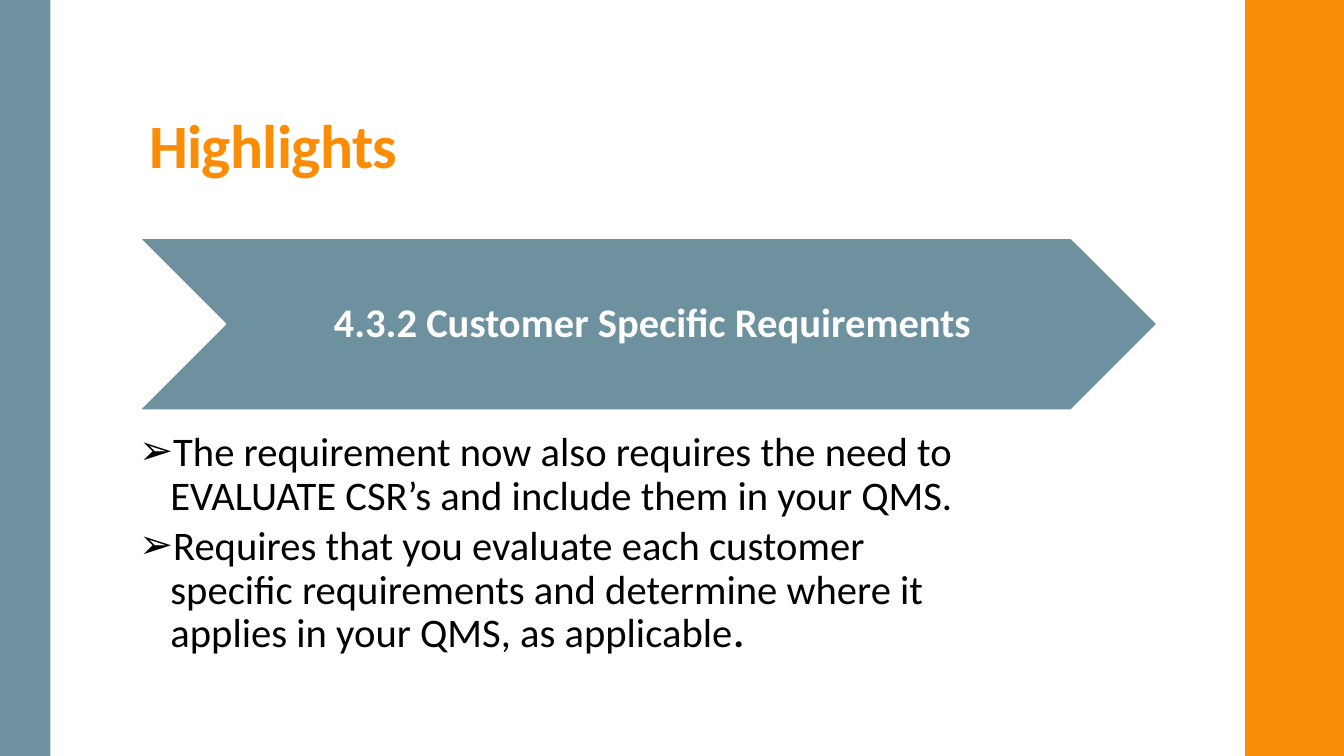
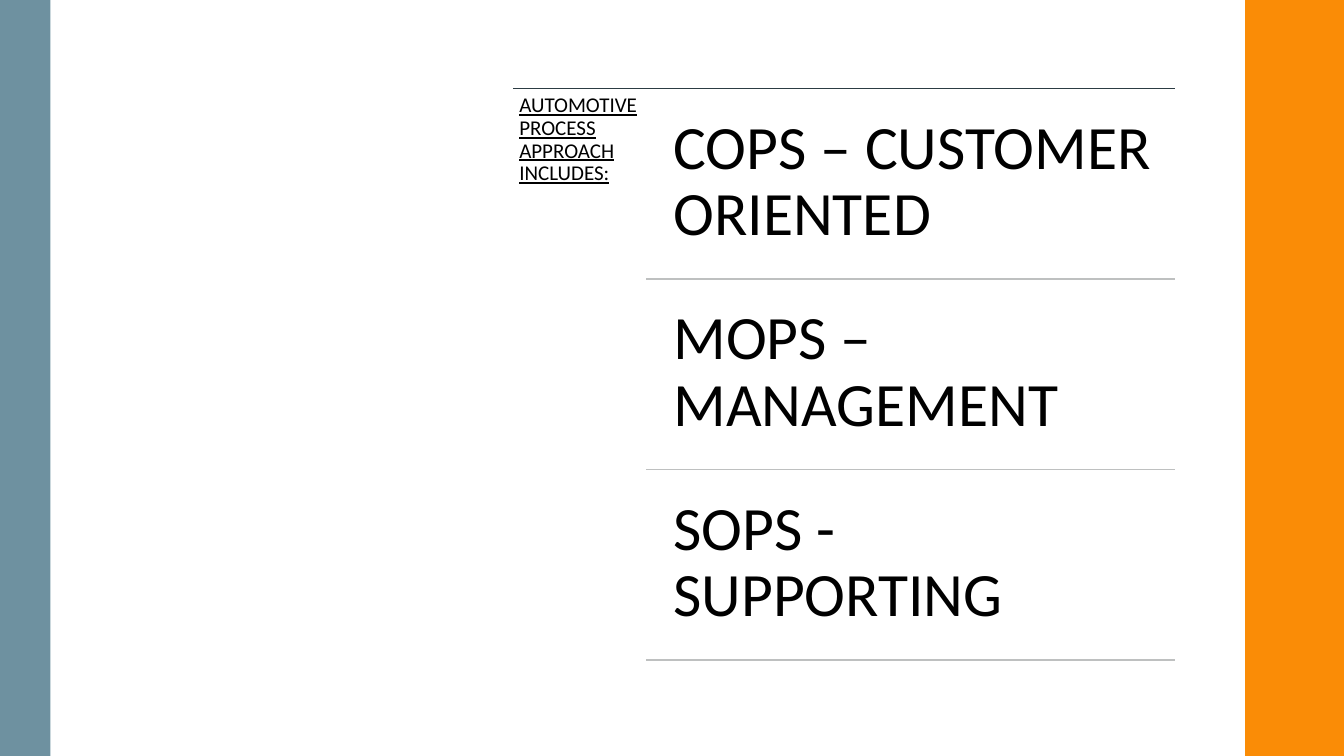
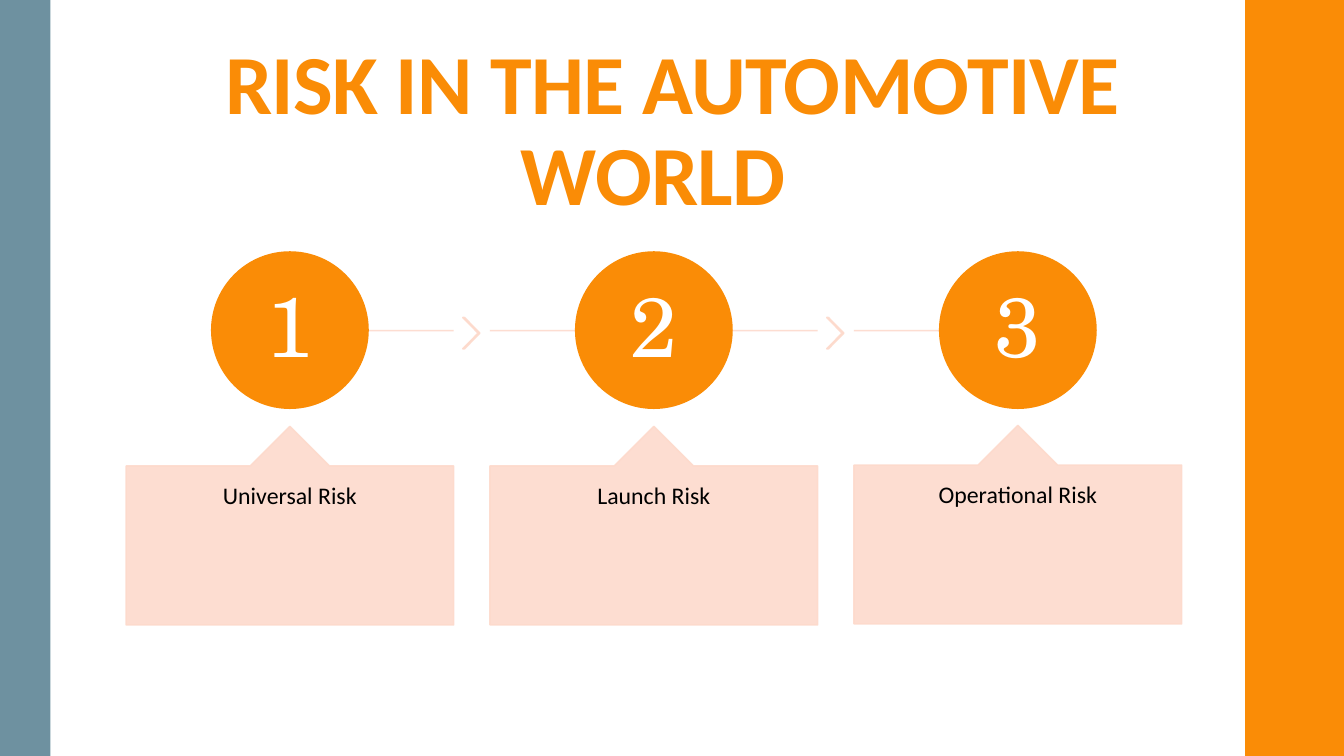
"""Build three slides on automotive quality requirements, processes and risk."""
from lxml import etree
from pptx import Presentation, util as u
from pptx.dml.color import RGBColor
from pptx.enum import shapes, text
from pptx.oxml.ns import qn

COLOURS = {
    "orange": "FA8C06",
    "slate": "6E91A0",
    "peach": "FDDACC",
    "ink": "2C3C43",
    "rule": "BEC0C0",
    "white": "FFFFFF",
    "black": "000000",
}
LEFT, CENTER = text.PP_ALIGN.LEFT, text.PP_ALIGN.CENTER
TOP, MIDDLE, BOTTOM = (
    text.MSO_ANCHOR.TOP, text.MSO_ANCHOR.MIDDLE, text.MSO_ANCHOR.BOTTOM)
PRESET = shapes.MSO_SHAPE


def inches(*lengths):
    """Turn numbers into lengths in inches."""
    return [u.Inches(length) for length in lengths]


def tint(fill, colour, alpha=100):
    """Make a fill solid, with an opacity in percent."""
    fill.solid()
    fill.fore_color.rgb = RGBColor.from_string(COLOURS[colour])
    if alpha < 100:
        element = fill._xPr.find(qn("a:solidFill"))[0]
        etree.SubElement(element, qn("a:alpha")).set("val", str(alpha * 1000))


def add_span(para, words, size=29, colour="black", font="Calibri",
             bold=False, underline=False, spacing=None):
    """Add formatted words to a paragraph."""
    span = para.add_run()
    span.text = words
    span.font.size = u.Pt(size)
    span.font.name = font
    span.font.bold = bold
    span.font.underline = underline
    span.font.color.rgb = RGBColor.from_string(COLOURS[colour])
    if spacing is not None:
        span.font._element.set("spc", str(round(spacing * 100)))


def write(box, words, align=LEFT, anchor=TOP, insets=(0, 0, 0, 0), **style):
    """Set up the frame of a box and write its first paragraph."""
    frame = box.text_frame
    frame.word_wrap = True
    frame.auto_size = text.MSO_AUTO_SIZE.NONE
    frame.vertical_anchor = anchor
    (frame.margin_left, frame.margin_top,
     frame.margin_right, frame.margin_bottom) = inches(*insets)
    para = frame.paragraphs[0]
    para.alignment = align
    para.line_spacing = 0.9
    para.space_before = u.Pt(0)
    add_span(para, words, **style)


def place(box, *bounds):
    """Move and size a placeholder."""
    box.left, box.top, box.width, box.height = inches(*bounds)


def add_title(page, words, bounds, size, align=LEFT):
    """Fill the title placeholder in the shared style."""
    place(page.shapes.title, *bounds)
    write(page.shapes.title, words, align, BOTTOM, (0.1, 0.03, 0.1, 0.05),
          size=size, colour="orange", bold=True, spacing=-0.5)


def add_box(page, bounds, words, **style):
    """Add a text box."""
    write(page.shapes.add_textbox(*inches(*bounds)), words, **style)


def add_figure(page, preset, bounds, fill, line=None, width=1.1, alpha=100,
               adjust=()):
    """Add a flat preset shape."""
    figure = page.shapes.add_shape(preset, *inches(*bounds))
    figure.shadow.inherit = False
    for index, value in enumerate(adjust):
        figure.adjustments[index] = value
    tint(figure.fill, fill, alpha)
    if line:
        tint(figure.line.fill, line, alpha)
        figure.line.width = u.Pt(width)
    else:
        figure.line.fill.background()
    return figure


def add_rule(page, left, right, height, colour, alpha=100):
    """Add a horizontal line."""
    rule = page.shapes.add_connector(
        shapes.MSO_CONNECTOR.STRAIGHT, *inches(left, height, right, height))
    tint(rule.line.fill, colour, alpha)
    rule.line.width = u.Pt(1.1)
    etree.SubElement(rule._element.spPr, qn("a:effectLst"))


def add_bullets(box, items, **style):
    """Write a list with arrowhead bullets."""
    for index, words in enumerate(items):
        if index == 0:
            write(box, words, **style)
            para = box.text_frame.paragraphs[0]
        else:
            para = box.text_frame.add_paragraph()
            para.line_spacing = 0.9
            para.space_before = u.Pt(0)
            add_span(para, words, **style)
        para.space_after = u.Pt(4.35)
        properties = para._p.get_or_add_pPr()
        properties.set("marL", str(u.Inches(0.31)))
        properties.set("indent", str(u.Inches(-0.31)))
        etree.SubElement(properties, qn("a:buChar")).set("char", "➢")


def add_bands(deck, page):
    """Draw the side bands and hand them to the slide master."""
    tree = deck.slide_master.shapes._spTree
    for left, width, colour in ((12.35, 1, "orange"), (0, 0.5, "slate")):
        band = add_figure(page, PRESET.RECTANGLE, (left, 0, width, 7.5), colour)
        tree.insert(2, band._element)


def build_highlights(page):
    """Build the slide on customer specific requirements."""
    add_title(page, "Highlights", (1.38, 0.32, 10.6, 1.53), 44)
    banner = add_figure(page, PRESET.CHEVRON, (1.38, 2.36, 10.1, 1.71),
                        "slate", "white", 1.35)
    write(banner, "4.3.2 Customer Specific Requirements", CENTER, MIDDLE,
          (0.13, 0.04, 0.04, 0.04), colour="white", bold=True)
    body = page.placeholders[1]
    place(body, 1.38, 4.28, 8.08, 2.35)
    add_bullets(body, (
        "The requirement now also requires the need to EVALUATE CSR’s and "
        "include them in your QMS.",
        "Requires that you evaluate each customer specific requirements and "
        "determine where it applies in your QMS, as applicable",
    ))
    add_span(body.text_frame.paragraphs[-1], ".", bold=True)


def build_processes(page):
    """Build the slide on the automotive process approach."""
    top, right, step = 0.88, 11.65, 1.89
    add_rule(page, 5.09, right, top, "ink")
    add_box(page, (5.09, top, 1.31, 5.75),
            "AUTOMOTIVE PROCESS APPROACH INCLUDES:",
            insets=(0.06,) * 4, size=15, underline=True)
    processes = ("COPS – CUSTOMER ORIENTED", "MOPS – MANAGEMENT",
                 "SOPS - SUPPORTING")
    for index, process in enumerate(processes):
        row = top + index * step
        add_box(page, (6.5, row + 0.09, 5.14, 1.8), process,
                insets=(0.18,) * 4, size=44)
        add_rule(page, 6.41, right, row + step, "rule")


def build_risks(page):
    """Build the slide on the three kinds of risk."""
    add_title(page, "RISK IN THE AUTOMOTIVE WORLD\t",
              (1.25, 0.38, 10.83, 1.89), 60, CENTER)
    pale = {"fill": "peach", "line": "peach", "alpha": 90}
    risks = (("Universal Risk", 4.23), ("Launch Risk", 4.23),
             ("Operational Risk", 4.22))
    width, step = 3.25, 3.61
    last = len(risks) - 1
    for index, (risk, top) in enumerate(risks):
        left = 1.25 + index * step
        middle = left + width / 2
        add_rule(page, left if index else middle,
                 left + width if index < last else middle, 3.28, "peach", 90)
        if index < last:
            add_figure(page, PRESET.CHEVRON, (left + 3.34, 3.15, 0.17, 0.31),
                       adjust=(0.9,), **pale)
        circle = add_figure(page, PRESET.OVAL, (left + 0.85, 2.5, 1.55, 1.55),
                            "orange", "orange")
        write(circle, str(index + 1), CENTER, MIDDLE, (0.06,) * 4,
              size=60, colour="white", font="TeX Gyre Schola")
        callout = add_figure(page, PRESET.UP_ARROW_CALLOUT,
                             (left, top, width, 1.97),
                             adjust=(0.5, 0.2, 0.2, 1), **pale)
        write(callout, risk, CENTER, insets=(0.26, 0.18, 0.26, 0.18), size=17)


def main():
    """Build and save the deck."""
    deck = Presentation()
    deck.slide_width, deck.slide_height = inches(13.33, 7.5)
    builders = ((1, build_highlights), (6, build_processes), (5, build_risks))
    for layout, build in builders:
        build(deck.slides.add_slide(deck.slide_layouts[layout]))
    add_bands(deck, deck.slides[0])
    deck.save("out.pptx")


if __name__ == "__main__":
    main()
